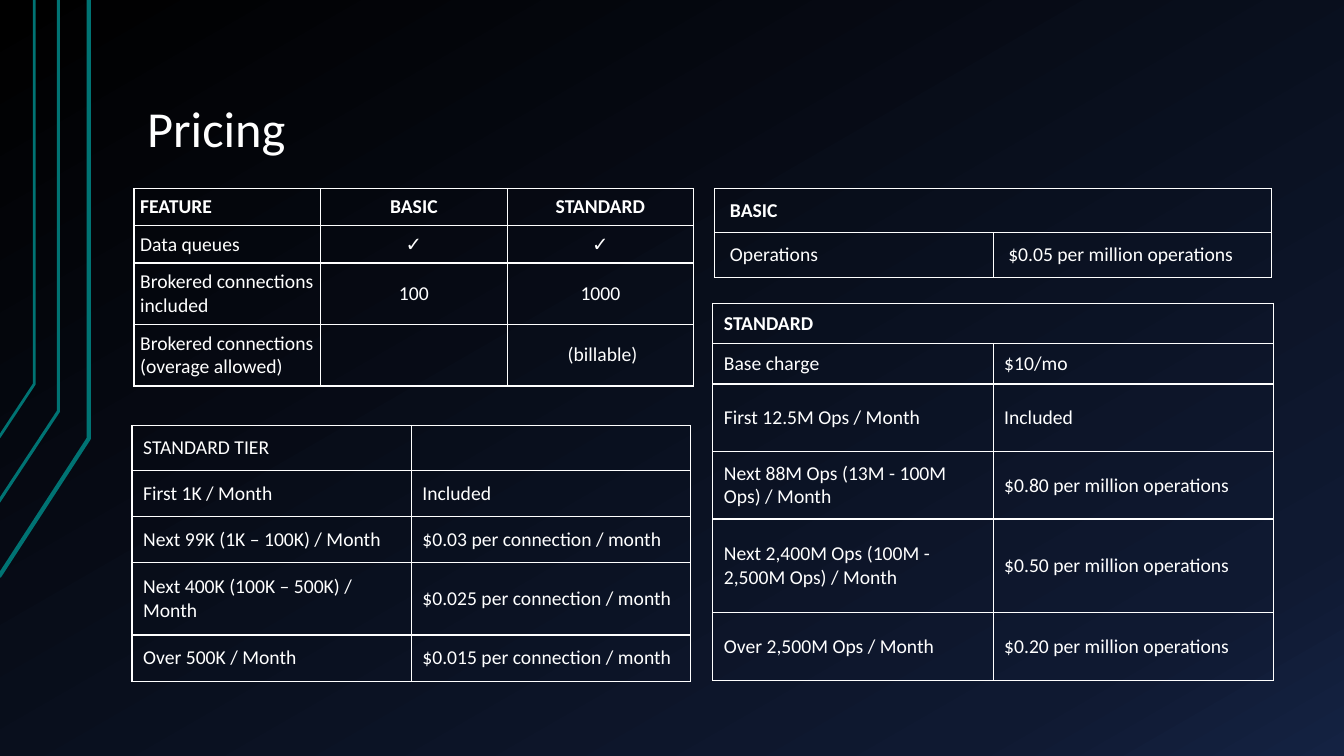
from copy import deepcopy
from dataclasses import dataclass

from lxml.etree import SubElement
from pptx import Presentation
from pptx.dml.color import RGBColor
from pptx.enum.text import MSO_ANCHOR, PP_ALIGN
from pptx.oxml.ns import qn
from pptx.slide import Slide
from pptx.table import _Cell as Cell
from pptx.text.text import _Paragraph as Paragraph
from pptx.util import Inches, Pt

COLORS = {
    "text": "FFFFFF",
    "border": "FFFFFF",
    "accent": "007373",
    "sky_top": "000000",
    "sky_middle": "0F1931",
    "sky_bottom": "142242",
}
FONT = "Calibri"


@dataclass(frozen=True)
class AccentLine:
    points: tuple[tuple[float, float], ...]
    width: float


@dataclass(frozen=True)
class PriceTable:
    left: float
    top: float
    column_width: float
    row_heights: tuple[float, ...]
    margins: tuple[float, float]
    rows: tuple[tuple[str, ...], ...]
    bold_header: bool = True
    merged_header: bool = False
    centered_values: bool = False


ACCENT_LINES = (
    AccentLine(((-0.01, 5.72), (0.88, 4.35), (0.88, 0)), 3),
    AccentLine(((-0.02, 4.99), (0.58, 4.08), (0.58, 0)), 2.25),
    AccentLine(((-0.01, 4.34), (0.34, 3.81), (0.34, 0)), 2),
)

PRICE_TABLES = (
    PriceTable(
        1.33, 1.87, 1.85, (0.37, 0.37, 0.61, 0.61), (0.06, 0.06),
        (
            ("FEATURE", "BASIC", "STANDARD"),
            ("Data queues", "✓", "✓"),
            ("Brokered connections included", "100", "1000"),
            ("Brokered connections (overage allowed)", "", "\u00a0(billable)"),
        ),
        centered_values=True,
    ),
    PriceTable(
        7.07, 3.01, 2.78, (0.4, 0.4, 0.67, 0.67, 0.93, 0.67), (0.11, 0.08),
        (
            ("STANDARD", ""),
            ("Base charge", "$10/mo"),
            ("First 12.5M Ops / Month", "Included"),
            ("Next 88M Ops (13M - 100M Ops) / Month", "$0.80\u00a0per million operations"),
            ("Next 2,400M Ops (100M - 2,500M Ops) / Month", "$0.50\u00a0per million operations"),
            ("Over 2,500M Ops / Month", "$0.20\u00a0per million operations"),
        ),
        merged_header=True,
    ),
    PriceTable(
        7.09, 1.87, 2.76, (0.44, 0.44), (0.15, 0.1),
        (
            ("BASIC", ""),
            ("Operations", "$0.05\u00a0per million operations"),
        ),
        merged_header=True,
    ),
    PriceTable(
        1.31, 4.22, 2.77, (0.45, 0.45, 0.46, 0.72, 0.46), (0.11, 0.08),
        (
            ("STANDARD TIER", ""),
            ("First 1K / Month", "Included"),
            ("Next 99K (1K – 100K) / Month", "$0.03\u00a0per connection / month"),
            ("Next 400K (100K – 500K) / Month", "$0.025\u00a0per connection / month"),
            ("Over 500K / Month", "$0.015\u00a0per connection / month"),
        ),
        bold_header=False,
    ),
)


def color(name: str) -> RGBColor:
    return RGBColor.from_string(COLORS[name])


def format_runs(paragraph: Paragraph, size: float, bold: bool = False) -> None:
    for run in paragraph.runs:
        run.font.name = FONT
        run.font.size = Pt(size)
        run.font.bold = bold
        run.font.color.rgb = color("text")


def paint_background(slide: Slide) -> None:
    fill = slide.background.fill
    fill.gradient()
    fill.gradient_angle = 300
    stop_list = slide.element.find(".//" + qn("a:gsLst"))
    stop_list.append(deepcopy(stop_list[-1]))
    stops = (("sky_top", 0), ("sky_middle", 0.85), ("sky_bottom", 1))
    for stop, (name, position) in zip(fill.gradient_stops, stops):
        stop.color.rgb = color(name)
        stop.position = position


def draw_accent(slide: Slide, accent: AccentLine) -> None:
    start, *others = [(Inches(x), Inches(y)) for x, y in accent.points]
    builder = slide.shapes.build_freeform(*start)
    builder.add_line_segments(others, close=False)
    shape = builder.convert_to_shape()
    shape.shadow.inherit = False
    shape.fill.background()
    shape.line.color.rgb = color("accent")
    shape.line.width = Pt(accent.width)


def draw_title(slide: Slide, text: str) -> None:
    shape = slide.shapes.add_textbox(Inches(1.33), Inches(0.3), Inches(11.33), Inches(1.34))
    frame = shape.text_frame
    frame.text = text
    frame.word_wrap = True
    frame.vertical_anchor = MSO_ANCHOR.BOTTOM
    frame.margin_left = frame.margin_right = Inches(0.13)
    frame.margin_top = frame.margin_bottom = Inches(0.07)
    frame.paragraphs[0].line_spacing = 0.9
    format_runs(frame.paragraphs[0], 36)


def add_borders(cell: Cell) -> None:
    properties = cell._tc.get_or_add_tcPr()
    for index, side in enumerate(("lnL", "lnR", "lnT", "lnB")):
        line = properties.makeelement(qn(f"a:{side}"), {"w": str(Pt(1))})
        solid = SubElement(line, qn("a:solidFill"))
        SubElement(solid, qn("a:srgbClr"), val=COLORS["border"])
        properties.insert(index, line)


def fill_cell(cell: Cell, text: str, margins: tuple[float, float], bold: bool, centered: bool) -> None:
    cell.fill.background()
    add_borders(cell)
    if not text:
        return
    cell.text_frame.text = text
    cell.vertical_anchor = MSO_ANCHOR.MIDDLE
    cell.margin_left = cell.margin_right = Inches(margins[0])
    cell.margin_top = cell.margin_bottom = Inches(margins[1])
    paragraph = cell.text_frame.paragraphs[0]
    paragraph.alignment = PP_ALIGN.CENTER if centered else PP_ALIGN.LEFT
    format_runs(paragraph, 14, bold)


def draw_table(slide: Slide, price: PriceTable) -> None:
    column_count = len(price.rows[0])
    table = slide.shapes.add_table(
        len(price.rows), column_count, Inches(price.left), Inches(price.top),
        Inches(price.column_width * column_count), Inches(sum(price.row_heights)),
    ).table
    table.first_row = table.horz_banding = False
    for column in table.columns:
        column.width = Inches(price.column_width)
    for row, height in zip(table.rows, price.row_heights):
        row.height = Inches(height)
    if price.merged_header:
        table.cell(0, 0).merge(table.cell(0, column_count - 1))
    for row_index, texts in enumerate(price.rows):
        for column_index, text in enumerate(texts):
            fill_cell(
                table.cell(row_index, column_index), text, price.margins,
                bold=price.bold_header and row_index == 0,
                centered=price.centered_values and column_index > 0,
            )


presentation = Presentation()
presentation.slide_width = Inches(13.33)
presentation.slide_height = Inches(7.5)
slide = presentation.slides.add_slide(presentation.slide_layouts[6])
paint_background(slide)
for accent in ACCENT_LINES:
    draw_accent(slide, accent)
draw_title(slide, "Pricing")
for price in PRICE_TABLES:
    draw_table(slide, price)
presentation.save("out.pptx")
